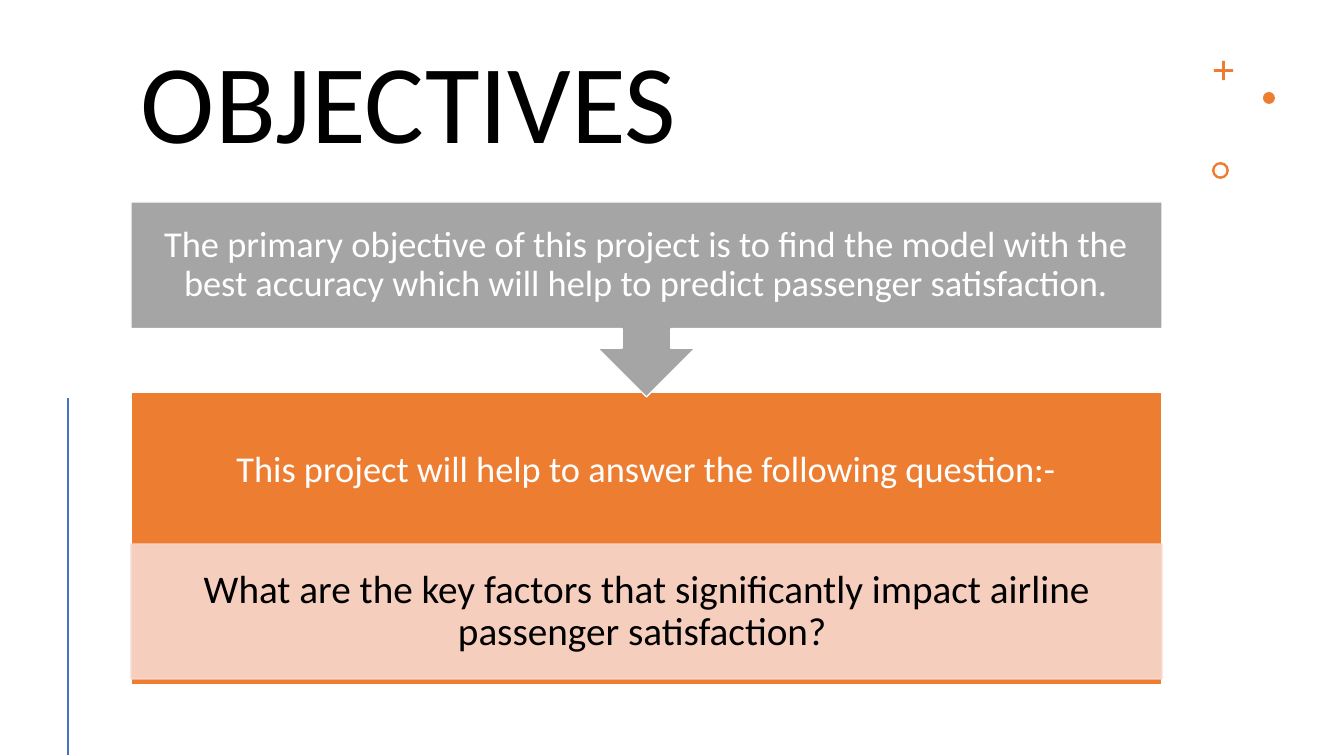
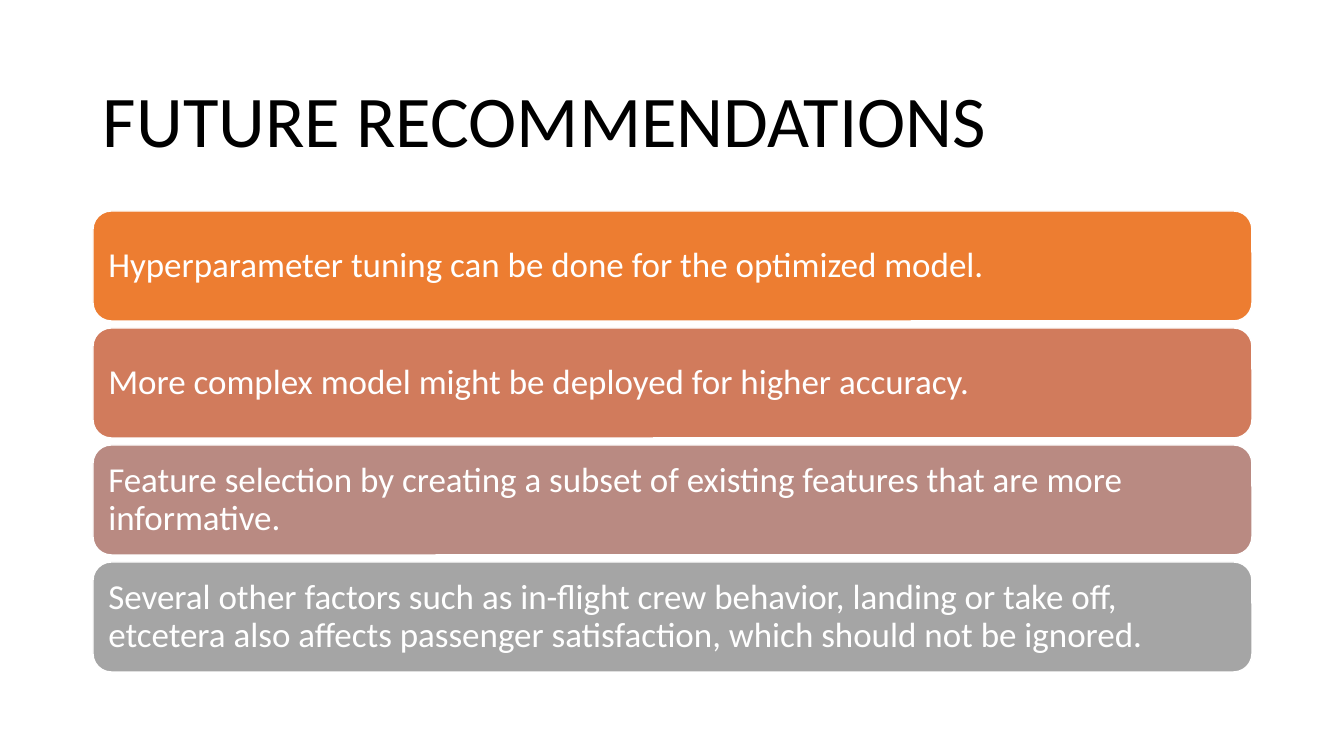
from lxml.etree import SubElement
from pptx import Presentation
from pptx.dml.color import RGBColor
from pptx.enum.shapes import MSO_CONNECTOR as CONN, MSO_SHAPE as SHAPE
from pptx.enum.text import MSO_ANCHOR as ANCHOR, PP_ALIGN as ALIGN
from pptx.oxml.ns import qn
from pptx.util import Emu, Pt

SLIDE_W, SLIDE_H = 1344, 756
EMU_PER_PX = 12192000 / SLIDE_W

FONT = "Calibri"
WHITE = RGBColor(0xFF, 0xFF, 0xFF)
BLACK = RGBColor(0x00, 0x00, 0x00)
ORANGE = RGBColor(0xED, 0x7D, 0x31)
TERRACOTTA = RGBColor(0xD1, 0x7B, 0x5C)
ROSE = RGBColor(0xB9, 0x8A, 0x82)
GRAY = RGBColor(0xA5, 0xA5, 0xA5)
PEACH = RGBColor(0xF8, 0xD7, 0xCE)
BLUE = RGBColor(0x44, 0x72, 0xC4)


def px(n):
    return Emu(round(n * EMU_PER_PX))


def write(shape, text, size, color, align=ALIGN.LEFT, anchor=ANCHOR.MIDDLE,
          insets=(10, 5, 10, 5)):
    """Put one paragraph in a shape; insets run left, top, right, bottom."""
    tf = shape.text_frame
    tf.word_wrap = True
    tf.vertical_anchor = anchor
    tf.margin_left, tf.margin_top, tf.margin_right, tf.margin_bottom = map(px, insets)
    p = tf.paragraphs[0]
    p.alignment = align
    p.line_spacing = 0.9
    r = p.add_run()
    r.text = text
    r.font.name = FONT
    r.font.size = Pt(size)
    r.font.color.rgb = color


def add_title(s, box, text, size, anchor):
    write(s.shapes.add_textbox(*map(px, box)), text, size, BLACK, anchor=anchor)


def add_block(s, kind, box, fill, line=None):
    sp = s.shapes.add_shape(kind, *map(px, box))
    sp.shadow.inherit = False
    sp.fill.solid()
    sp.fill.fore_color.rgb = fill
    if line is None:
        sp.line.fill.background()
    else:
        sp.line.color.rgb = line
        sp.line.width = Pt(1)
    return sp


def set_opacity(sp, percent):
    for color in sp._element.spPr.iter(qn("a:srgbClr")):
        SubElement(color, qn("a:alpha"), val=str(percent * 1000))


def add_ornaments(s, x, y):
    """Plus, dot and ring in the upper right corner."""
    plus = add_block(s, SHAPE.CROSS, (x + 2, y, 19, 19), ORANGE)
    plus.adjustments[0] = 0.43
    add_block(s, SHAPE.OVAL, (x + 51, y + 31, 12, 12), ORANGE)
    ring = add_block(s, SHAPE.DONUT, (x, y + 101, 17, 17), ORANGE)
    ring.adjustments[0] = 0.15


def add_side_rule(s, x, top, bottom):
    rule = s.shapes.add_connector(CONN.STRAIGHT, px(x), px(top), px(x), px(bottom))
    rule.line.color.rgb = BLUE
    rule.line.width = Pt(2)
    SubElement(rule._element.spPr, qn("a:effectLst"))


def add_objective_flow(s, box, objective, lead, question):
    """Callout with the objective, pointing down to the question panel."""
    x, y, w, h = box
    callout_h, panel_top, question_top, question_h = 195, 190, 342, 135
    panel_h = h - panel_top
    lead_h = 158

    panel = add_block(s, SHAPE.RECTANGLE, (x, y + panel_top, w, panel_h), ORANGE, WHITE)
    write(panel, lead, 26, WHITE, ALIGN.CENTER,
          insets=(20, 20, 20, 20 + panel_h - lead_h))

    band = add_block(s, SHAPE.RECTANGLE, (x, y + question_top, w, question_h), PEACH, PEACH)
    set_opacity(band, 90)
    write(band, question, 28, BLACK, ALIGN.CENTER, insets=(22, 4, 22, 4))

    callout = add_block(s, SHAPE.DOWN_ARROW_CALLOUT, (x, y, w, callout_h), GRAY, WHITE)
    write(callout, objective, 26, WHITE, ALIGN.CENTER, insets=(20, 20, 20, 20))


def add_recommendations(s, box, items, gap=7):
    x, y, w, h = box
    bar_h = (h - gap * (len(items) - 1)) / len(items)
    for i, (text, fill) in enumerate(items):
        bar = add_block(s, SHAPE.ROUNDED_RECTANGLE,
                        (x, y + i * (bar_h + gap), w, bar_h), fill, WHITE)
        write(bar, text, 25, WHITE, insets=(10, 10, 10, 10))


def build_objectives(s):
    add_title(s, (131, 42, 1031, 132), "OBJECTIVES", 80, ANCHOR.TOP)
    add_ornaments(s, 1212, 61)
    add_side_rule(s, 68, 398, 755)
    add_objective_flow(
        s, (131, 202, 1031, 483),
        "The primary objective of this project is to find the model with the best "
        "accuracy which will help to predict passenger satisfaction.",
        "This project will help to answer the following question:-",
        "What are the key factors that significantly impact airline passenger "
        "satisfaction? ")


def build_recommendations(s):
    add_title(s, (93, 61, 1159, 125), "FUTURE RECOMMENDATIONS", 52, ANCHOR.MIDDLE)
    add_recommendations(s, (93, 211, 1159, 461), [
        ("Hyperparameter tuning can be done for the optimized model.", ORANGE),
        ("More complex model might be deployed for higher accuracy.", TERRACOTTA),
        ("Feature selection by creating a subset of existing features that are more "
         "informative.", ROSE),
        ("Several other factors such as in-flight crew behavior, landing or take off, "
         "etcetera also affects passenger satisfaction, which should not be ignored.",
         GRAY),
    ])


def main():
    prs = Presentation()
    prs.slide_width, prs.slide_height = px(SLIDE_W), px(SLIDE_H)
    for build in (build_objectives, build_recommendations):
        build(prs.slides.add_slide(prs.slide_layouts[6]))
    prs.save("out.pptx")


if __name__ == "__main__":
    main()
